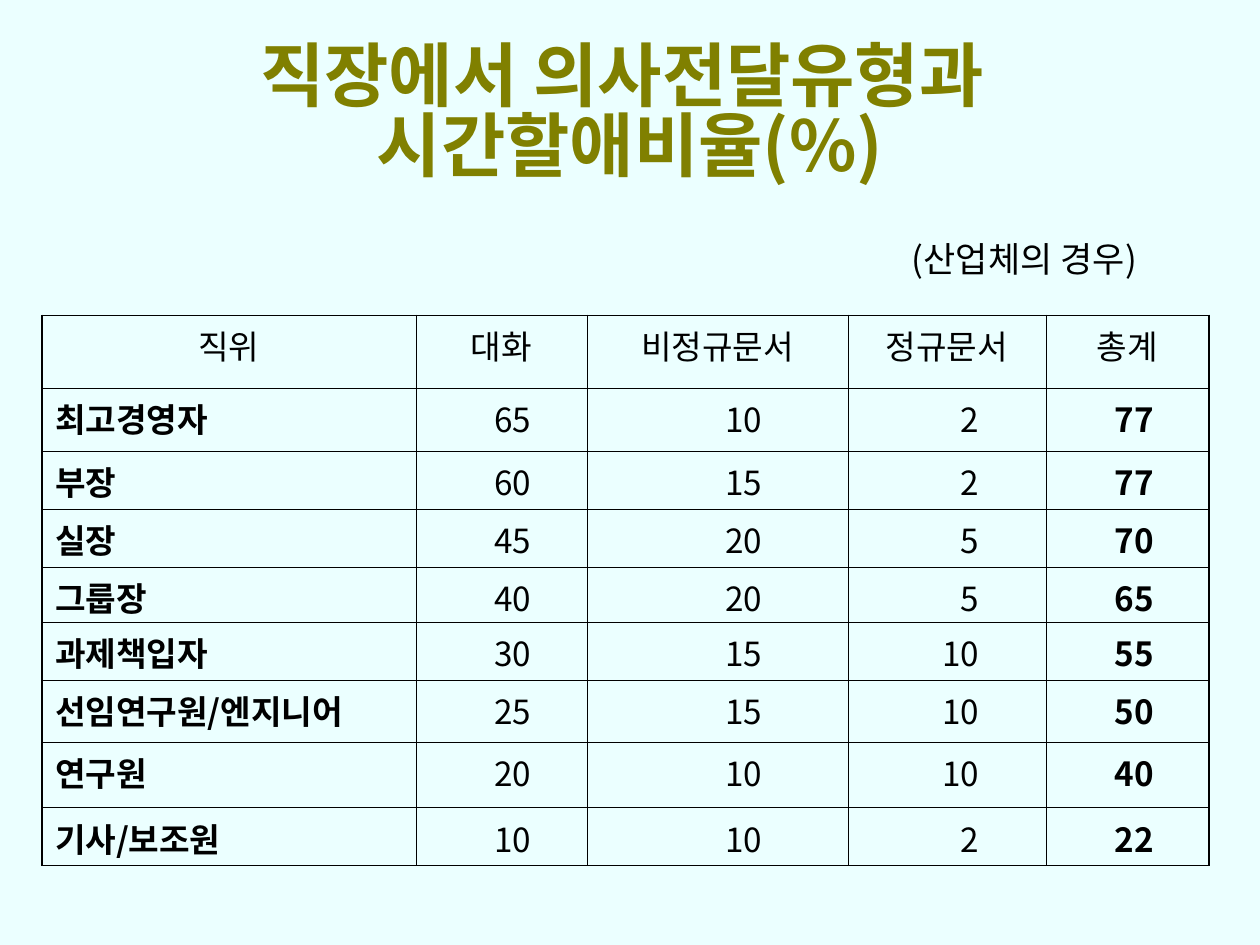
from dataclasses import dataclass

from lxml import etree
from pptx import Presentation
from pptx.dml.color import RGBColor
from pptx.enum import text
from pptx.oxml import ns
from pptx import util as u

PX = 914400 // 126 + 1 / 7
FONT = "Noto Sans CJK KR"
PALE = RGBColor(0xEB, 0xFF, 0xFF)
OLIVE = RGBColor(0x80, 0x80, 0x00)
BLACK = RGBColor(0x00, 0x00, 0x00)
LEFT, MID, RIGHT = text.PP_ALIGN.LEFT, text.PP_ALIGN.CENTER, text.PP_ALIGN.RIGHT
PAD_X, PAD_Y = 13, 6
THIN, THICK = 0.45, 1.08


@dataclass
class Style:
    size: int
    color: RGBColor = BLACK
    bold: bool = False
    align: text.PP_ALIGN = MID
    space: float = 1.0


@dataclass
class Column:
    head: str
    width: int
    inset: int = PAD_X
    align: text.PP_ALIGN = RIGHT
    bold: bool = False


COLS = [
    Column("직위", 374, align=LEFT, bold=True),
    Column("대화", 171, 56),
    Column("비정규문서", 261, 86),
    Column("정규문서", 198, 67),
    Column("총계", 163, 55, bold=True),
]
ROWS = [
    ("최고경영자", 65, 10, 2, 77),
    ("부장", 60, 15, 2, 77),
    ("실장", 45, 20, 5, 70),
    ("그룹장", 40, 20, 5, 65),
    ("과제책입자", 30, 15, 10, 55),
    ("선임연구원/엔지니어", 25, 15, 10, 50),
    ("연구원", 20, 10, 10, 40),
    ("기사/보조원", 10, 10, 2, 22),
]
HEIGHTS = [73, 63, 58, 58, 55, 58, 62, 66, 58]


def px(n: int) -> int:
    return u.Emu(round(n * PX))


def apply(item, values: dict) -> None:
    for key, value in values.items():
        setattr(item, key, value)


def write(frame, words: str, style: Style) -> None:
    frame.text = words
    for para in frame.paragraphs:
        apply(para, {"alignment": style.align, "line_spacing": style.space})
        for run in para.runs:
            apply(run.font, {"name": FONT, "size": u.Pt(style.size), "bold": style.bold})
            run.font.color.rgb = style.color
            etree.SubElement(run._r.get_or_add_rPr(), ns.qn("a:ea"), typeface=FONT)


def place(shape, left: int, top: int, width: int, height: int) -> None:
    apply(shape, {"left": px(left), "top": px(top), "width": px(width), "height": px(height)})


def edge(cell, first: bool, last: bool) -> None:
    sides = {"L": THICK if first else THIN, "R": THICK if last else THIN, "T": THIN, "B": THIN}
    props = cell._tc.get_or_add_tcPr()
    for spot, (side, width) in enumerate(sides.items()):
        line = etree.Element(ns.qn(f"a:ln{side}"), w=str(u.Pt(width)))
        fill = etree.SubElement(line, ns.qn("a:solidFill"))
        etree.SubElement(fill, ns.qn("a:srgbClr"), val=str(BLACK))
        props.insert(spot, line)


def draw(cell, words: str, col: Column, head: bool) -> None:
    inset = PAD_X if head else col.inset
    apply(cell, {
        "margin_left": px(PAD_X), "margin_right": px(inset),
        "margin_top": px(PAD_Y), "margin_bottom": px(PAD_Y),
        "vertical_anchor": text.MSO_ANCHOR.TOP,
    })
    cell.fill.background()
    style = Style(19) if head else Style(19, bold=col.bold, align=col.align)
    write(cell.text_frame, words, style)
    edge(cell, col is COLS[0], col is COLS[-1])


def chart(slide) -> None:
    data = [tuple(col.head for col in COLS), *ROWS]
    width = sum(col.width for col in COLS)
    grid = slide.shapes.add_table(
        len(data), len(COLS), px(42), px(315), px(width), px(sum(HEIGHTS))
    ).table
    apply(grid, {"first_row": False, "horz_banding": False})
    for slot, col in zip(grid.columns, COLS):
        slot.width = px(col.width)
    for r, (row, high) in enumerate(zip(data, HEIGHTS)):
        grid.rows[r].height = px(high)
        for c, (value, col) in enumerate(zip(row, COLS)):
            draw(grid.cell(r, c), str(value), col, r == 0)


def main() -> None:
    deck = Presentation()
    apply(deck, {"slide_width": px(1260), "slide_height": px(945)})
    slide = deck.slides.add_slide(deck.slide_layouts[5])
    slide.background.fill.solid()
    slide.background.fill.fore_color.rgb = PALE

    title = slide.shapes.title
    place(title, 147, 21, 966, 189)
    apply(title.text_frame, {
        "word_wrap": True, "auto_size": text.MSO_AUTO_SIZE.NONE,
        "vertical_anchor": text.MSO_ANCHOR.MIDDLE,
    })
    write(title.text_frame, "직장에서 의사전달유형과 \n시간할애비율(%)",
          Style(40, OLIVE, True, space=0.84))

    note = slide.shapes.add_textbox(px(872), px(231), px(305), px(63))
    note.text_frame.word_wrap = True
    write(note.text_frame, "(산업체의 경우)", Style(20))

    chart(slide)
    deck.save("out.pptx")


if __name__ == "__main__":
    main()
